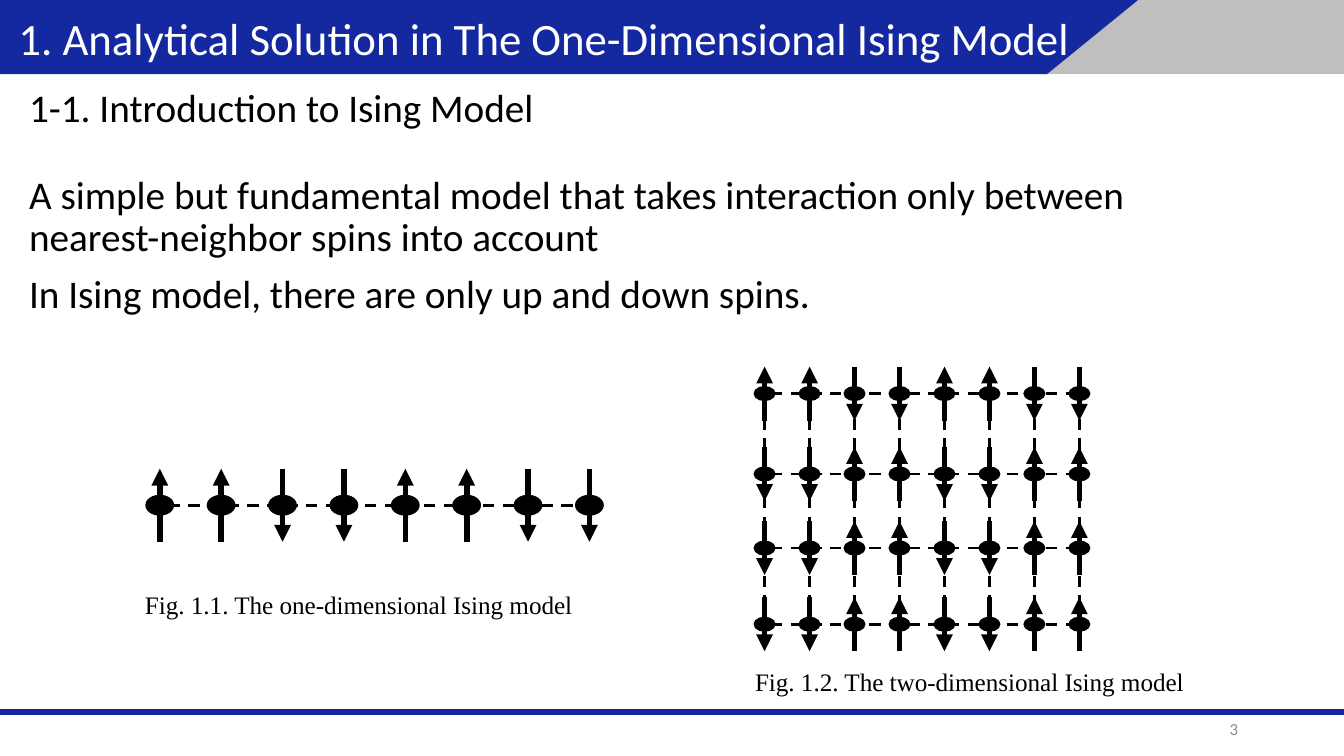
"""Build the slide that introduces the one- and two-dimensional Ising model."""
from pptx import Presentation
from pptx.dml.color import RGBColor
from pptx.enum.dml import MSO_LINE
from pptx.enum.shapes import MSO_CONNECTOR, MSO_SHAPE
from pptx.enum.text import MSO_ANCHOR, PP_ALIGN
from pptx.oxml.ns import qn
from pptx.util import Cm, Pt
from lxml.etree import SubElement

BLUE = RGBColor(0x14, 0x28, 0xA0)
RULE_BLUE = RGBColor(0x14, 0x27, 0xA0)
SILVER = RGBColor(0xBF, 0xBF, 0xBF)
GRAY = RGBColor(0x8C, 0x8C, 0x8C)
BLACK = RGBColor(0, 0, 0)
WHITE = RGBColor(0xFF, 0xFF, 0xFF)

TITLE = "1. Analytical Solution in The One-Dimensional Ising Model"
BODY = [
    "1-1. Introduction to Ising Model",
    "A simple but fundamental model that takes interaction only between "
    "nearest-neighbor spins into account",
    "In Ising model, there are only up and down spins.",
]
BANDS = [
    (SILVER, [(17.2, 0), (25.4, 0), (25.4, 1.4), (17.2, 1.4)]),
    (BLUE, [(0, 0), (21.51, 0), (19.79, 1.4), (0, 1.4)]),
]
LATTICES = [
    dict(rows=[(9.55, "↑↑↓↓↑↑↓↓")], left=3.02, step=1.16, half=0.69,
         dot=(0.51, 0.36), caption="Fig. 1.1. The one-dimensional Ising model",
         box=(2.49, 11.02, 8.71, 0.84)),
    dict(rows=[(7.44, "↑↑↓↓↑↑↓↓"), (8.96, "↓↓↑↑↓↓↑↑"),
               (10.36, "↓↓↑↑↓↓↑↑"), (11.8, "↓↓↑↑↓↓↑↑")],
         left=14.45, step=0.85, half=0.51, dot=(0.38, 0.25),
         caption="Fig. 1.2. The two-dimensional Ising model",
         box=(14.02, 12.47, 8.74, 0.84)),
]


def add_text(shapes, text, box, size, color=BLACK, font="Calibri", align=None,
             anchor=MSO_ANCHOR.TOP, wrap=True, spacing=None, before=()):
    tf = shapes.add_textbox(*map(Cm, box)).text_frame
    tf.word_wrap, tf.vertical_anchor = wrap, anchor
    tf.text = text
    for p in tf.paragraphs:
        p.alignment, p.line_spacing = align, spacing
        p.font.size, p.font.name, p.font.color.rgb = Pt(size), font, color
    for p, gap in zip(tf.paragraphs, before):
        p.space_before = Pt(gap)


def add_line(shapes, x1, y1, x2, y2, width, color=BLACK, dash=None, arrow=False):
    c = shapes.add_connector(MSO_CONNECTOR.STRAIGHT, Cm(x1), Cm(y1), Cm(x2), Cm(y2))
    c.line.width, c.line.color.rgb = Pt(width), color
    if dash:
        c.line.dash_style = dash
    if arrow:
        SubElement(c.line._get_or_add_ln(), qn("a:tailEnd"), type="triangle")
    SubElement(c._element.spPr, qn("a:effectLst"))


def add_band(shapes, color, points):
    corners = [(Cm(x), Cm(y)) for x, y in points]
    builder = shapes.build_freeform(*corners[0])
    builder.add_line_segments(corners[1:], close=True)
    sp = builder.convert_to_shape()
    sp.shadow.inherit = False
    sp.fill.solid()
    sp.fill.fore_color.rgb = color
    sp.line.fill.background()


def add_dot(shapes, x, y, w, h):
    sp = shapes.add_shape(MSO_SHAPE.FLOWCHART_CONNECTOR,
                          Cm(x - w / 2), Cm(y - h / 2), Cm(w), Cm(h))
    sp.shadow.inherit = False
    sp.fill.solid()
    sp.fill.fore_color.rgb = sp.line.color.rgb = BLACK
    sp.line.width = Pt(1)


def add_lattice(shapes, rows, left, step, half, dot, caption, box):
    xs = [left + i * step for i in range(len(rows[0][1]))]
    if len(rows) > 1:
        for x in xs:
            add_line(shapes, x, rows[-1][0] + half * 0.8, x, rows[0][0], 1.5,
                     dash=MSO_LINE.DASH)
    for y, spins in rows:
        for x, spin in zip(xs, spins):
            tip = -half if spin == "↑" else half
            add_line(shapes, x, y - tip, x, y + tip, 3, arrow=True)
            add_dot(shapes, x, y, *dot)
        add_line(shapes, xs[0] + dot[0] / 3, y, xs[-1], y, 1.5, dash=MSO_LINE.DASH)
    add_text(shapes, caption, box, 13.5, font="Times New Roman", wrap=False)


def main():
    prs = Presentation()
    prs.slide_width, prs.slide_height = Cm(25.4), Cm(14.29)
    s = prs.slides.add_slide(prs.slide_layouts[6])
    for color, points in BANDS:
        add_band(s.shapes, color, points)
    add_line(s.shapes, 0, 13.46, 25.4, 13.46, 3, color=RULE_BLUE)
    add_text(s.shapes, TITLE, (0.1, 0.2, 21.9, 1.2), 24, color=WHITE, spacing=0.9)
    add_text(s.shapes, "\n".join(BODY), (0.3, 1.55, 21.9, 5.08), 21,
             spacing=0.9, before=(7.5, 24, 7.5))
    for lattice in LATTICES:
        add_lattice(s.shapes.add_group_shape().shapes, **lattice)
    add_text(s.shapes, "3", (17.93, 13.39, 5.72, 0.76), 9, color=GRAY,
             align=PP_ALIGN.RIGHT, anchor=MSO_ANCHOR.MIDDLE)
    prs.save("out.pptx")


if __name__ == "__main__":
    main()
